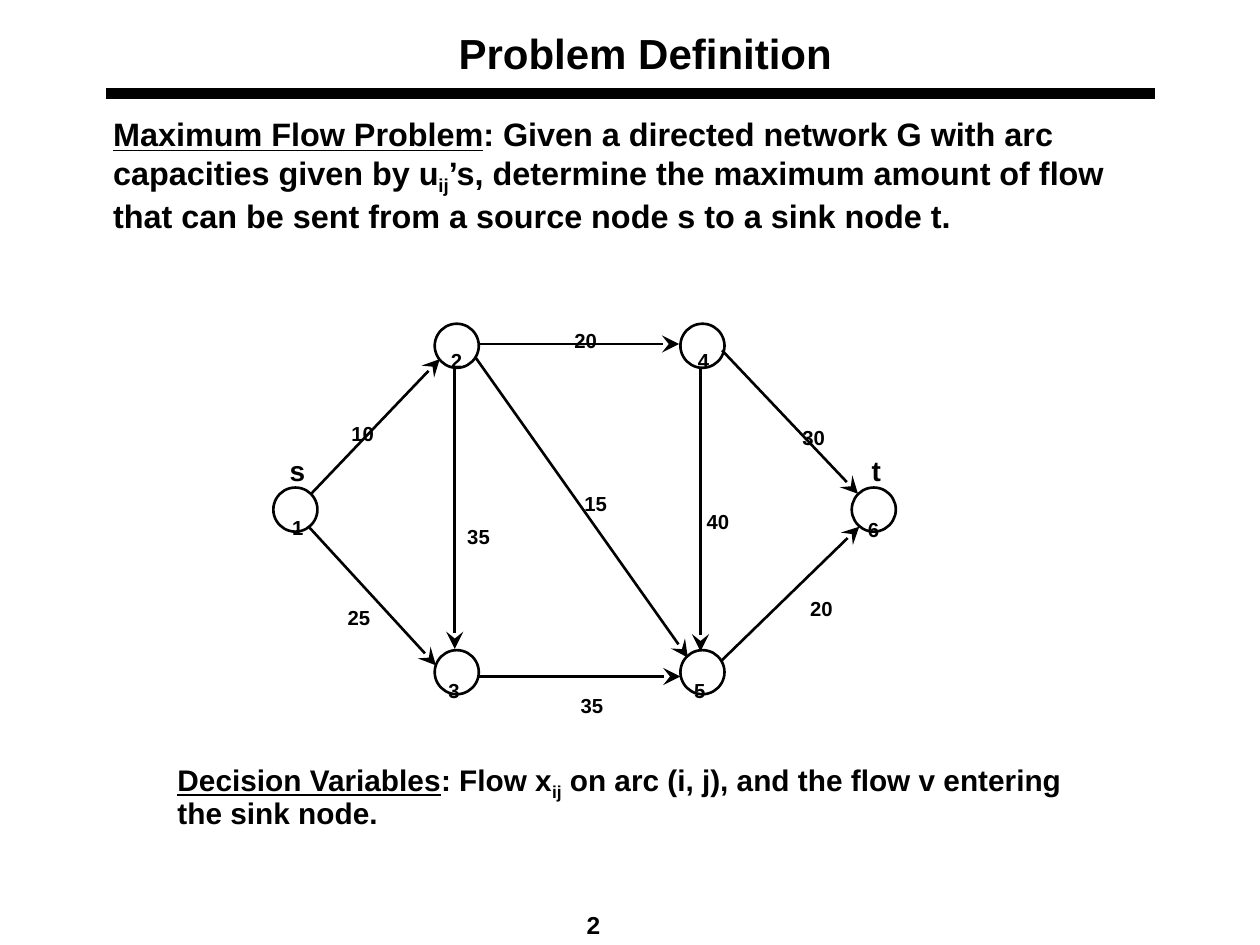
from dataclasses import dataclass

from lxml import etree
from pptx import Presentation
from pptx import util as u
from pptx.dml.color import RGBColor
from pptx.enum import shapes, text
from pptx.oxml.ns import qn


@dataclass(frozen=True)
class Theme:
    font: str = "Arial"
    ink: RGBColor = RGBColor(0, 0, 0)
    paper: RGBColor = RGBColor(255, 255, 255)
    title: float = 24
    body: float = 18.5
    variables: float = 17
    number: float = 20
    terminal: float = 16
    page: float = 14
    rule: float = 6
    outline: float = 1.5


THEME = Theme()
NODE_SIZE = 25.2

# Node name: (circle left, circle top, label left, label top)
NODES = {
    "1": (156.2, 278.6, 159.8, 278.6),
    "2": (248.4, 185, 250.6, 182.9),
    "4": (388.8, 185, 391.7, 182.9),
    "6": (486.7, 278.6, 488.9, 279.4),
    "5": (388.8, 371.5, 389.5, 371.5),
    "3": (248.4, 371.5, 249.1, 371.5),
}

# Capacity, tail point, arrow point, label corner
ARCS = [
    ("10", (177.8, 282.2), (251.3, 205.2), (193.7, 224.6)),
    ("20", (272.9, 196.6), (388.1, 196.6), (321.1, 171.4)),
    ("30", (412.6, 200.2), (490.3, 282.2), (451.4, 226.8)),
    ("20", (411.8, 378), (491, 301), (455.8, 324.7)),
    ("35", (272.9, 386.6), (388.8, 386.6), (324.7, 380.2)),
    ("25", (176.4, 301), (249.1, 380.2), (191.5, 329.8)),
    ("35", (259.9, 209.5), (259.9, 370.8), (259.9, 283.7)),
    ("40", (400.3, 209.5), (400.3, 372.2), (396.7, 275)),
    ("15", (271.4, 203.8), (393.1, 375.8), (326.9, 265)),
]

# Terminal name: (left, top, width)
TERMINALS = {"s": (158.4, 255.6, 23), "t": (491, 255.6, 19.4)}


def apply(target, values):
    for name, value in values.items():
        setattr(target, name, value)


def add_text(parent, box, runs, size, frame_format=None, paragraph_format=None):
    """Add one paragraph; each run is (text, underline, baseline percent)."""
    shape = parent.add_textbox(*map(u.Pt, box))
    apply(shape.text_frame, {"word_wrap": True, **(frame_format or {})})
    paragraph = shape.text_frame.paragraphs[0]
    apply(paragraph, paragraph_format or {})
    for wording, underline, baseline in runs:
        run = paragraph.add_run()
        run.text = wording
        apply(run.font, {"name": THEME.font, "size": u.Pt(size),
                         "bold": True, "underline": underline})
        run.font.color.rgb = THEME.ink
        if baseline:
            run._r.get_or_add_rPr().set("baseline", str(baseline * 1000))


def add_label(parent, box, wording, size, baseline=0):
    add_text(parent, box, [(wording, False, baseline)], size,
             {"word_wrap": False,
              "auto_size": text.MSO_AUTO_SIZE.SHAPE_TO_FIT_TEXT})


def add_line(parent, start, end, width, arrow=False):
    line = parent.add_connector(shapes.MSO_CONNECTOR.STRAIGHT,
                                *map(u.Pt, start + end))
    line.line.color.rgb = THEME.ink
    line.line.width = u.Pt(width)
    if arrow:
        etree.SubElement(line.line._get_or_add_ln(), qn("a:tailEnd"),
                         type="stealth", w="lg", len="lg")
    etree.SubElement(line._element.spPr, qn("a:effectLst"))


def add_node(parent, left, top):
    node = parent.add_shape(shapes.MSO_SHAPE.OVAL,
                            *map(u.Pt, (left, top, NODE_SIZE, NODE_SIZE)))
    node.shadow.inherit = False
    node.fill.solid()
    node.fill.fore_color.rgb = THEME.paper
    node.line.color.rgb = THEME.ink
    node.line.width = u.Pt(THEME.outline)


def add_network(slide):
    network = slide.shapes.add_group_shape().shapes
    for left, top, _, _ in NODES.values():
        add_node(network, left, top)
    for _, start, end, _ in ARCS:
        add_line(network, start, end, THEME.outline, arrow=True)
    for name, (_, _, left, top) in NODES.items():
        add_label(network, (left, top, 20.9, 33.8), name, THEME.number, -20)
    for capacity, _, _, corner in ARCS:
        add_label(network, corner + (27.4, 33.8), capacity, THEME.number, -20)
    for name, (left, top, width) in TERMINALS.items():
        add_label(network, (left, top, width, 26.6), name, THEME.terminal)


def main():
    presentation = Presentation()
    apply(presentation, {"slide_width": u.Pt(720), "slide_height": u.Pt(540)})
    slide = presentation.slides.add_slide(presentation.slide_layouts[6])
    centred = {"alignment": text.PP_ALIGN.CENTER}

    # Heading and rule
    add_line(slide.shapes, (60.5, 53.3), (660.2, 53.3), THEME.rule)
    add_text(slide.shapes, (52.6, 16.6, 632.2, 26.6),
             [("Problem Definition", False, 0)], THEME.title,
             {"vertical_anchor": text.MSO_ANCHOR.MIDDLE}, centred)

    # Problem statement and decision variables
    add_text(slide.shapes, (57.6, 61.9, 612, 79.9), [
        ("Maximum Flow Problem", True, 0),
        (": Given a directed network G with arc capacities given by u", False, 0),
        ("ij", False, -20),
        ("’s, determine the maximum amount of flow that can be sent "
         "from a source node s to a sink node t.", False, 0),
    ], THEME.body)
    add_text(slide.shapes, (94.3, 432, 522, 54), [
        ("Decision Variables", True, 0),
        (": Flow x", False, 0),
        ("ij", False, -25),
        (" on arc (i, j), and the flow v entering the sink node.", False, 0),
    ], THEME.variables, paragraph_format={"line_spacing": 0.9})

    # Flow network
    add_network(slide)

    # Page number
    add_text(slide.shapes, (264.2, 516.2, 149.8, 18), [("2", False, 0)],
             THEME.page, paragraph_format=centred)

    presentation.save("out.pptx")


if __name__ == "__main__":
    main()
